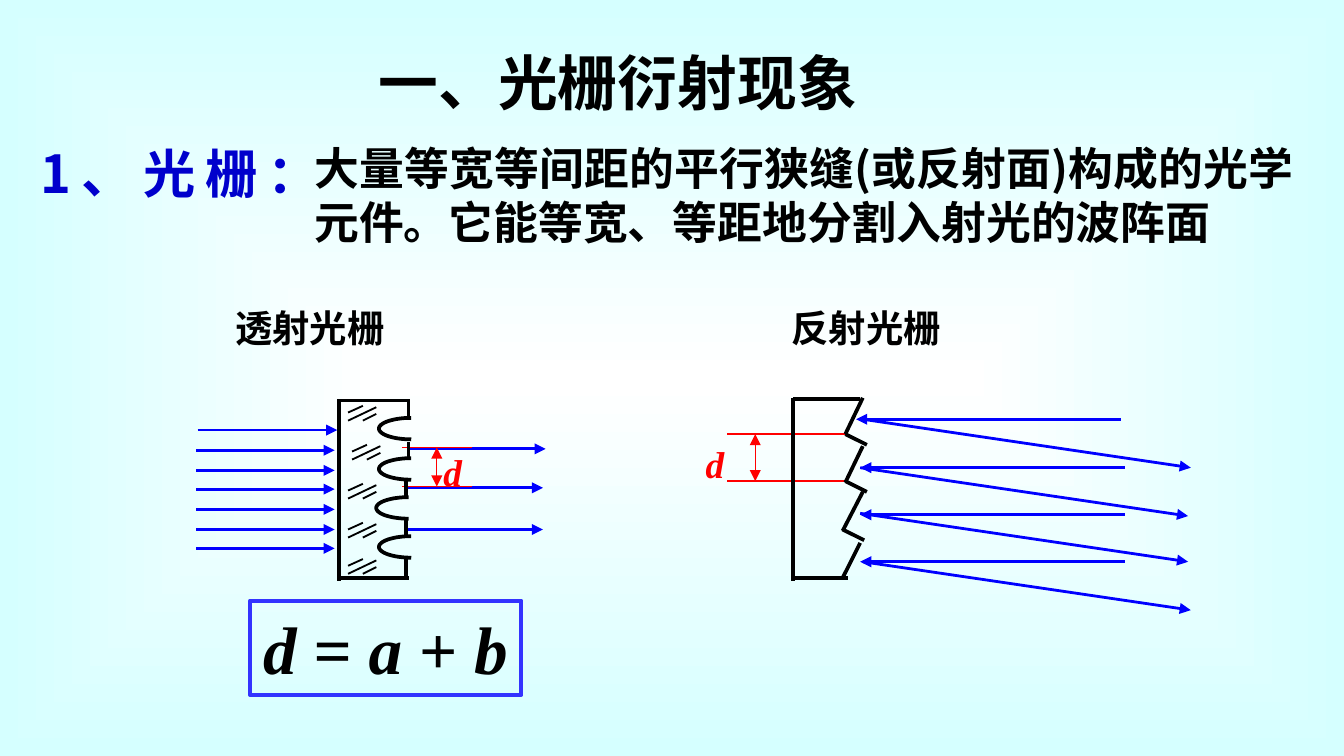
from dataclasses import dataclass
from math import cos, pi, sin

from lxml.etree import SubElement
from pptx import Presentation
from pptx.dml.color import RGBColor
from pptx.enum.shapes import MSO_CONNECTOR, MSO_SHAPE
from pptx.enum.text import MSO_ANCHOR, PP_ALIGN as Align
from pptx.oxml.ns import qn
from pptx.util import Emu, Pt

PX = 9144  # 100 px to the inch
SERIF = "Times New Roman"
SANS = "Noto Sans CJK SC"
BLACK, BLUE, RED = "000000", "0000FF", "FF0000"
Point = tuple[int, int]


@dataclass(frozen=True)
class Label:
    text: str
    left: int
    top: int
    width: int
    height: int
    size: int
    color: str = BLACK
    font: str = SERIF
    italic: bool = False
    align: Align = Align.JUSTIFY
    inset: Point = (1, 1)


@dataclass(frozen=True)
class Stroke:
    start: Point
    end: Point
    color: str = BLACK
    weight: float = 2
    head: bool = False
    tail: bool = False


def px(length: float) -> Emu:
    return Emu(round(length * PX))


def rgb(color: str) -> RGBColor:
    return RGBColor.from_string(color)


def paint_background(slide) -> None:
    fill = slide.background.fill
    fill.gradient()
    for stop, color in zip(fill.gradient_stops, ("FFFFFF", "D5FFFF")):
        stop.color.rgb = rgb(color)
    gradient = slide.element.find(".//" + qn("a:gradFill"))
    gradient.remove(gradient.find(qn("a:lin")))
    shade = SubElement(gradient, qn("a:path"), {"path": "rect"})
    SubElement(shade, qn("a:fillToRect"), {side: "50000" for side in "ltrb"})


def set_insets(text_frame, inset: Point) -> None:
    text_frame.margin_left = text_frame.margin_right = px(inset[0])
    text_frame.margin_top = text_frame.margin_bottom = px(inset[1])
    text_frame.vertical_anchor = MSO_ANCHOR.TOP


def format_run(run, size: int, color: str, font: str, italic: bool) -> None:
    run.font.size = Pt(size)
    run.font.bold = True
    run.font.italic = italic
    run.font.color.rgb = rgb(color)
    run.font.name = font
    SubElement(run.font._element, qn("a:ea"), {"typeface": SANS})


def add_label(slide, label: Label) -> None:
    box = slide.shapes.add_textbox(
        px(label.left), px(label.top), px(label.width), px(label.height))
    text_frame = box.text_frame
    text_frame.word_wrap = True
    set_insets(text_frame, label.inset)
    text_frame.text = label.text
    paragraph = text_frame.paragraphs[0]
    paragraph.alignment = label.align
    format_run(paragraph.runs[0], label.size, label.color, label.font, label.italic)


def add_stroke(slide, stroke: Stroke) -> None:
    connector = slide.shapes.add_connector(
        MSO_CONNECTOR.STRAIGHT, *map(px, stroke.start + stroke.end))
    connector.line.color.rgb = rgb(stroke.color)
    connector.line.width = Pt(stroke.weight)
    line = connector.line._get_or_add_ln()
    for wanted, tag in ((stroke.head, "a:headEnd"), (stroke.tail, "a:tailEnd")):
        if wanted:
            SubElement(line, qn(tag), {"type": "triangle"})
    SubElement(connector._element.spPr, qn("a:effectLst"))


def add_groove(slide, right: int, top: int) -> None:
    """Draw a half ellipse that opens to the right."""
    steps, depth, half = 32, 24, 8
    angles = [pi * step / steps for step in range(steps + 1)]
    points = [(px(right - depth * sin(angle)), px(top + half - half * cos(angle)))
              for angle in angles]
    builder = slide.shapes.build_freeform(*points[0])
    builder.add_line_segments(points[1:], close=False)
    groove = builder.convert_to_shape()
    groove.shadow.inherit = False
    groove.fill.background()
    groove.line.color.rgb = rgb(BLACK)
    groove.line.width = Pt(2)


def hatch(left: int, top: int) -> list[Stroke]:
    ends = (((21, 6), (11, 11)), ((11, 0), (0, 5)), ((21, 1), (0, 11)))
    return [Stroke((left + a, top + b), (left + c, top + d), weight=1)
            for (a, b), (c, d) in ends]


def spacing_mark(x: int, left: int, right: int, top: int, bottom: int) -> list[Stroke]:
    """Two red guides with a double arrow between them."""
    guides = [Stroke((left, y), (right, y), RED, 1) for y in (top, bottom)]
    return [Stroke((x, top), (x, bottom), RED, 0.75, True, True), *guides]


def transmission_strokes() -> list[Stroke]:
    incoming = [Stroke((146, y), (249, y), BLUE, 1.5, tail=True)
                for y in (335, 350, 364, 379, 394, 408)]
    incoming.append(Stroke((147, 320), (251, 320), BLUE, 1.5, tail=True))
    outgoing = [Stroke((x, y), (x + 103, y), BLUE, 1.5, tail=True)
                for x, y in ((303, 334), (301, 363), (301, 394))]
    plate = [Stroke((254, 298), (304, 298)), Stroke((254, 430), (304, 430)),
             Stroke((252, 297), (252, 432))]
    ridges = [Stroke((x, top), (x, bottom)) for x, top, bottom in (
        (304, 297, 311), (304, 329, 341), (302, 358, 370),
        (302, 387, 399), (302, 416, 431))]
    hatching = [stroke for left, top in (
        (259, 302), (262, 331), (259, 360), (259, 389), (259, 416))
        for stroke in hatch(left, top)]
    return (outgoing + incoming + spacing_mark(325, 299, 351, 333, 362)
            + plate + ridges + hatching)


def reflection_strokes() -> list[Stroke]:
    incoming = [Stroke((x, y), (x + 197, y), BLUE, 1.5, head=True)
                for x, y in ((637, 312), (640, 348), (640, 383), (640, 418))]
    reflected = [Stroke((x, y), (x + 244, y + 36), BLUE, 1.5, tail=True)
                 for x, y in ((642, 312), (640, 348), (640, 382), (642, 418))]
    plate = [Stroke((590, 296), (590, 432)), Stroke((590, 297), (640, 297)),
             Stroke((590, 430), (631, 430))]
    facets = [Stroke((642, 296), (629, 323)), Stroke((642, 332), (629, 359)),
              Stroke((642, 366), (627, 395)), Stroke((640, 404), (627, 430))]
    steps = [Stroke((x, y), (x + 16, y + 8))
             for x, y in ((629, 323), (629, 358), (627, 394))]
    return (incoming + reflected + spacing_mark(562, 541, 630, 323, 358)
            + plate + facets + steps)


def add_formula(slide) -> None:
    box = slide.shapes.add_shape(
        MSO_SHAPE.RECTANGLE, px(186), px(447), px(202), px(70))
    box.shadow.inherit = False
    box.fill.background()
    box.line.color.rgb = rgb("3333FF")
    box.line.width = Pt(2.25)
    box.text_frame.word_wrap = False
    set_insets(box.text_frame, (10, 5))
    paragraph = box.text_frame.paragraphs[0]
    paragraph.alignment = Align.LEFT
    for text in ("d ", "= ", "a ", "+ ", "b"):
        run = paragraph.add_run()
        run.text = text
        format_run(run, 36, BLACK, SERIF, text.strip().isalpha())


LABELS = (
    Label("一、光栅衍射现象", 272, 29, 496, 64, 32, align=Align.LEFT, inset=(10, 5)),
    Label("1、光栅：", 20, 100, 189, 57, 28, "0000CC", SANS, inset=(10, 5)),
    Label("大量等宽等间距的平行狭缝(或反射面)构成的光学元件。"
          "它能等宽、等距地分割入射光的波阵面",
          224, 100, 748, 130, 24, font=SANS, inset=(10, 5)),
    Label("透射光栅", 174, 226, 228, 33, 20),
    Label("反射光栅", 588, 226, 205, 34, 20),
    Label("d", 329, 333, 57, 25, 20, RED, italic=True),
    Label("d", 524, 327, 52, 24, 20, RED, italic=True),
)
GROOVES = ((306, 311), (306, 341), (304, 370), (306, 399))


def main() -> None:
    presentation = Presentation()
    presentation.slide_width, presentation.slide_height = px(1000), px(562.5)
    slide = presentation.slides.add_slide(presentation.slide_layouts[6])
    paint_background(slide)
    for stroke in reflection_strokes() + transmission_strokes():
        add_stroke(slide, stroke)
    for right, top in GROOVES:
        add_groove(slide, right, top)
    for label in LABELS:
        add_label(slide, label)
    add_formula(slide)
    presentation.save("out.pptx")


if __name__ == "__main__":
    main()
